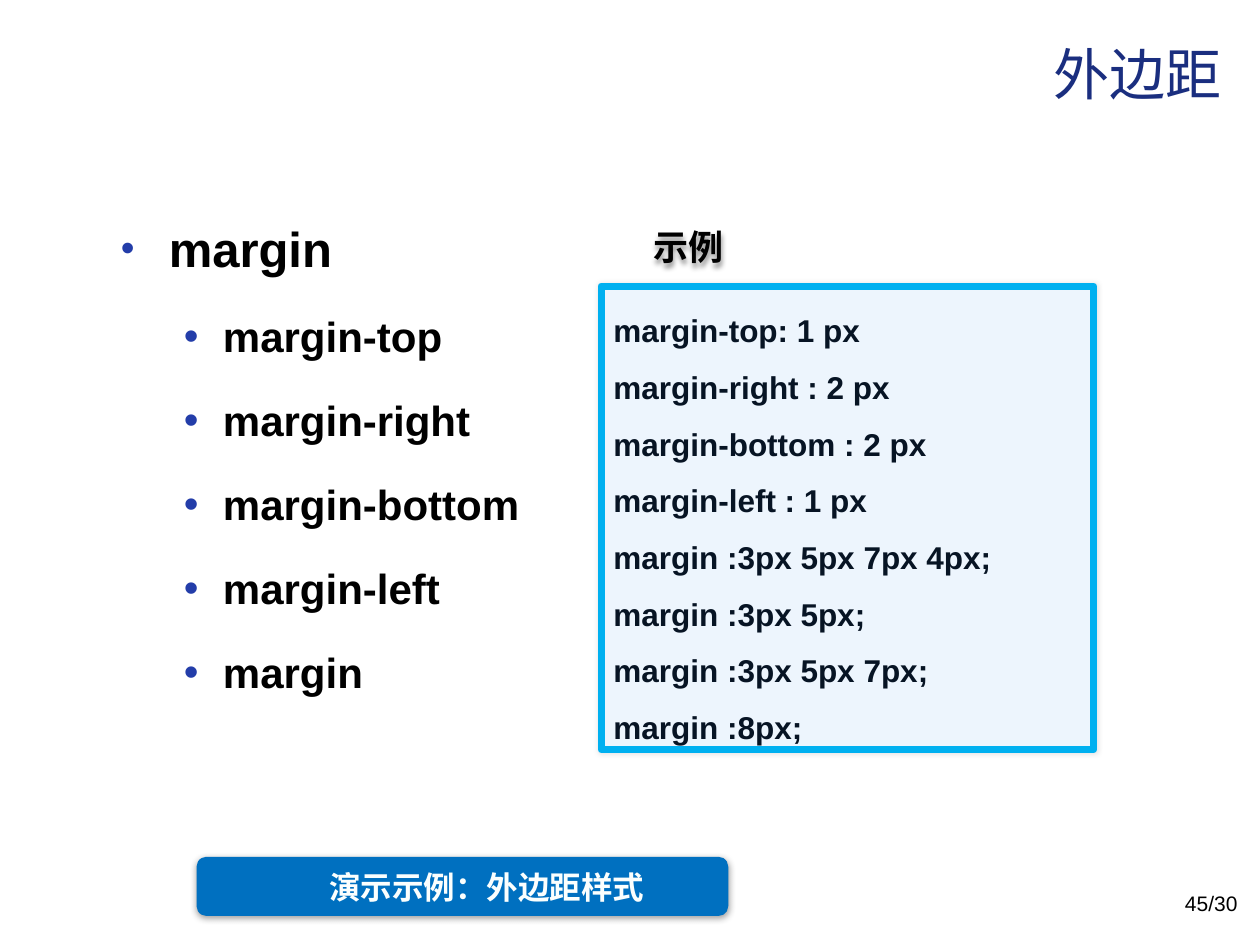
"""Build the slide about CSS margins."""
from typing import Any, NamedTuple

from lxml.etree import SubElement
from pptx import Presentation
from pptx.dml.color import RGBColor
from pptx.enum.shapes import MSO_SHAPE as Shape
from pptx.enum.text import MSO_ANCHOR as Anchor, MSO_AUTO_SIZE as AutoSize, PP_ALIGN as Align
from pptx.oxml.ns import qn
from pptx.util import Inches, Pt

COLORS = {
    "title": "1A2E7F", "bullet": "233DA9", "text": "000000", "code": "071424",
    "panel": "EDF5FD", "border": "00B0F0", "button": "0070C0",
    "button_text": "FBFFFE", "shade": "262626",
}
PROPERTIES = ["margin-top", "margin-right", "margin-bottom", "margin-left", "margin"]
EXAMPLES = [
    "margin-top: 1 px", "margin-right : 2 px", "margin-bottom : 2 px",
    "margin-left : 1 px", "margin :3px 5px 7px 4px;", "margin :3px 5px;",
    "margin :3px 5px 7px;", "margin :8px;",
]


class Box(NamedTuple):
    left: float
    top: float
    width: float
    height: float


class Style(NamedTuple):
    size: int
    color: str
    bold: bool = False
    east_asian: str = ""


class Shadow(NamedTuple):
    color: str
    opacity: int
    blur: float
    distance: float = 0
    angle: int = 0


class Label(NamedTuple):
    text: str
    box: Box
    style: Style
    frame: dict[str, Any]
    align: Align


def set_values(target: Any, values: dict[str, Any]) -> None:
    for name, value in values.items():
        setattr(target, name, value)


def place(shape: Any, box: Box) -> None:
    set_values(shape, {name: Inches(value) for name, value in box._asdict().items()})


def write(paragraph: Any, text: str, style: Style, **layout: Any) -> None:
    set_values(paragraph, layout)
    run = paragraph.add_run()
    run.text = text
    set_values(run.font, {"name": "Arial", "size": Pt(style.size), "bold": style.bold})
    run.font.color.rgb = RGBColor.from_string(COLORS[style.color])
    if style.east_asian:
        run.font.name = style.east_asian
        SubElement(run.font._element, qn("a:ea"), typeface=style.east_asian)


def add_bullet(paragraph: Any, margin: float, hanging: float, percent: int) -> None:
    properties = paragraph._p.get_or_add_pPr()
    properties.set("marL", str(Inches(margin)))
    properties.set("indent", str(-Inches(hanging)))
    color = SubElement(properties, qn("a:buClr"))
    SubElement(color, qn("a:srgbClr"), val=COLORS["bullet"])
    SubElement(properties, qn("a:buSzPct"), val=str(percent * 1000))
    SubElement(properties, qn("a:buFont"), typeface="Arial")
    SubElement(properties, qn("a:buChar"), char="•")


def cast_shadow(shape: Any, shadow: Shadow) -> None:
    shape.shadow.inherit = False
    effects = shape._element.spPr.find(qn("a:effectLst"))
    outer = SubElement(
        effects, qn("a:outerShdw"), blurRad=str(Pt(shadow.blur)),
        dist=str(Pt(shadow.distance)), dir=str(shadow.angle * 60000),
        algn="ctr", rotWithShape="0")
    color = SubElement(outer, qn("a:srgbClr"), val=COLORS[shadow.color])
    SubElement(color, qn("a:alpha"), val=str(shadow.opacity * 1000))


def add_panel(shapes: Any, kind: Shape, box: Box, fill: str, shadow: Shadow) -> Any:
    panel = shapes.add_shape(kind, *map(Inches, box))
    panel.fill.solid()
    panel.fill.fore_color.rgb = RGBColor.from_string(COLORS[fill])
    panel.line.fill.background()
    cast_shadow(panel, shadow)
    return panel


def add_label(shapes: Any, label: Label) -> Any:
    text_box = shapes.add_textbox(*map(Inches, label.box))
    set_values(text_box.text_frame, label.frame)
    write(text_box.text_frame.paragraphs[0], label.text, label.style, alignment=label.align)
    return text_box


def fill_title(title: Any) -> None:
    place(title, Box(0.8, 0.09, 9, 0.98))
    set_values(title.text_frame, {"vertical_anchor": Anchor.MIDDLE, "auto_size": AutoSize.NONE})
    write(title.text_frame.paragraphs[0], "外边距", Style(32, "title"), alignment=Align.RIGHT)


def fill_body(body: Any) -> None:
    place(body, Box(0.86, 1.4, 3.91, 5.01))
    frame = body.text_frame
    set_values(frame, {"auto_size": AutoSize.NONE, "margin_top": Inches(0.1)})
    heading = frame.paragraphs[0]
    add_bullet(heading, 0.38, 0.38, 80)
    write(heading, "margin", Style(28, "text", True), line_spacing=1.5, space_before=Pt(0))
    for name in PROPERTIES:
        paragraph = frame.add_paragraph()
        add_bullet(paragraph, 0.81, 0.31, 100)
        write(paragraph, name, Style(24, "text", True), level=1, line_spacing=1.5)


def add_examples(shapes: Any) -> None:
    panel = add_panel(shapes, Shape.ROUNDED_RECTANGLE, Box(4.77, 2.27, 3.91, 3.68),
                      "panel", Shadow("text", 10, 3))
    panel.adjustments[0] = 0
    panel.line.color.rgb = RGBColor.from_string(COLORS["border"])
    panel.line.width = Pt(4)
    frame = panel.text_frame
    set_values(frame, {"vertical_anchor": Anchor.TOP, "word_wrap": True})
    for index, example in enumerate(EXAMPLES):
        paragraph = frame.add_paragraph() if index else frame.paragraphs[0]
        write(paragraph, example, Style(18, "code", True),
              line_spacing=1.5, alignment=Align.LEFT)


def main() -> None:
    presentation = Presentation()
    set_values(presentation, {"slide_width": Inches(10), "slide_height": Inches(7.5)})
    slide = presentation.slides.add_slide(presentation.slide_layouts[1])
    shapes = slide.shapes
    fill_title(shapes.title)
    fill_body(slide.placeholders[1])
    add_examples(shapes)

    heading = add_label(shapes, Label(
        "示例", Box(5.09, 1.74, 0.77, 0.44),
        Style(20, "text", True, "Noto Sans CJK SC"),
        {"vertical_anchor": Anchor.MIDDLE, "word_wrap": False}, Align.LEFT))
    cast_shadow(heading, Shadow("text", 43, 3, 2, 90))

    button = shapes.add_group_shape().shapes
    add_panel(button, Shape.FLOWCHART_ALTERNATE_PROCESS, Box(1.56, 6.8, 4.22, 0.47),
              "button", Shadow("shade", 43, 4, 1, 90))
    add_label(button, Label(
        "演示示例：外边距样式", Box(2.5, 6.84, 2.73, 0.4),
        Style(18, "button_text", True), {"word_wrap": False}, Align.CENTER))

    add_label(shapes, Label(
        "45/30", Box(7.59, 7.02, 2.33, 0.4), Style(12, "text"),
        {"word_wrap": True}, Align.RIGHT))
    presentation.save("out.pptx")


if __name__ == "__main__":
    main()
